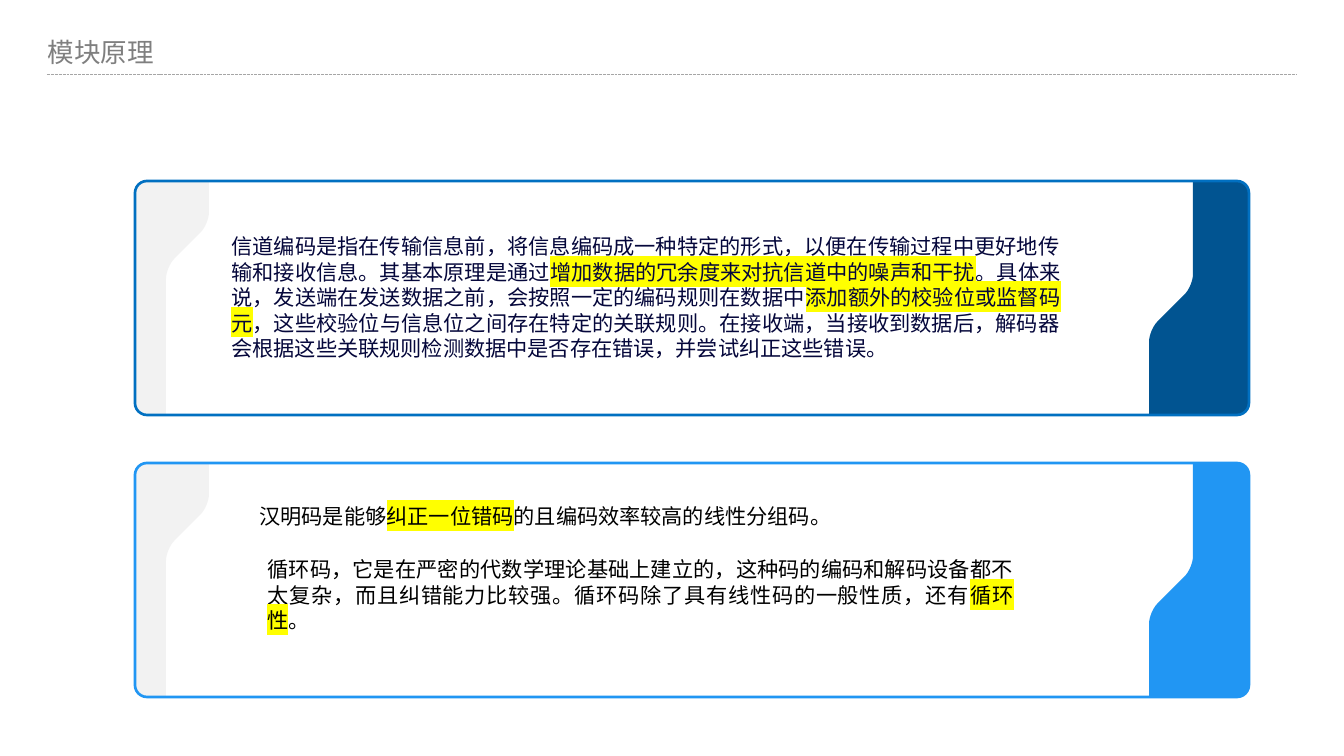
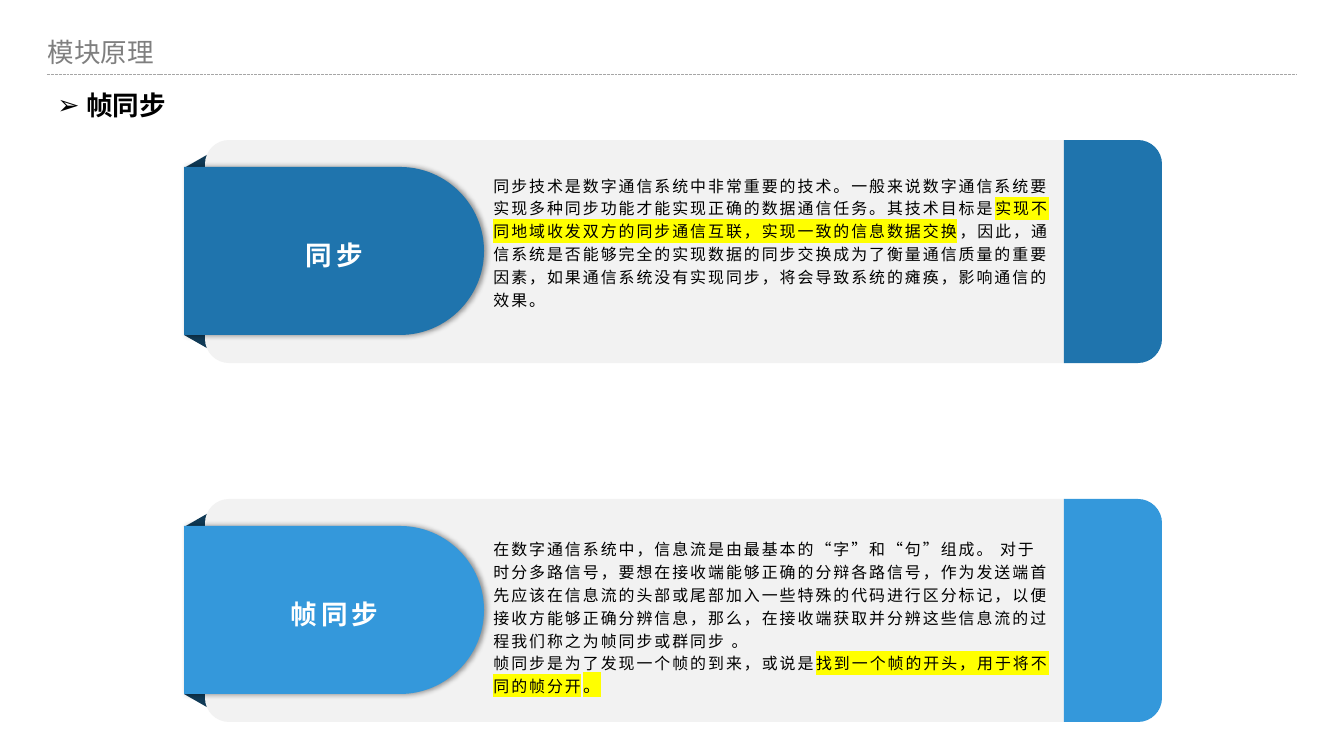
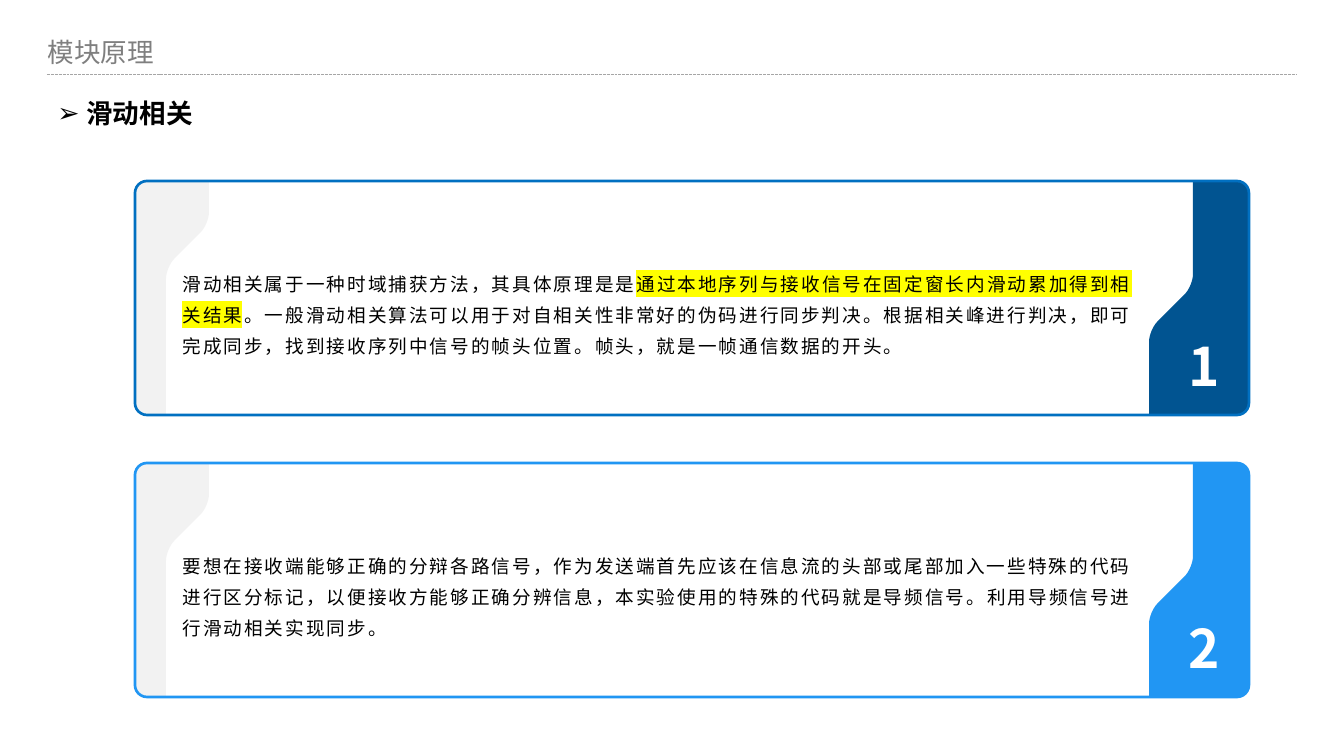
from dataclasses import dataclass, replace
from math import hypot

from lxml.etree import SubElement
from pptx import Presentation
from pptx.dml.color import RGBColor
from pptx.enum.dml import MSO_LINE
from pptx.enum.shapes import MSO_CONNECTOR, MSO_SHAPE
from pptx.enum.text import MSO_ANCHOR, MSO_AUTO_SIZE, PP_ALIGN
from pptx.oxml.ns import qn
from pptx.util import Pt

PX = 9565
CJK_FONT = "Noto Sans CJK SC"
COLORS = {
    "title": "7F7F7F", "rule": "A6A6A6", "text": "000000", "navy_text": "05073B",
    "white": "FFFFFF", "highlight": "FFFF00", "pale": "F2F2F2", "fold": "103A56",
    "deep_band": "015491", "deep_edge": "0170C1", "bright": "2196F3",
    "sync": "1F74AD", "frame_sync": "3498DB",
}
PANEL_LEFT, PANEL_TOPS = 135, (181, 463)
PANEL_WIDTH, PANEL_HEIGHT, PANEL_RADIUS = 1114, 234, 12
PANEL_COLORS = (("deep_band", "deep_edge"), ("bright", "bright"))
CARD_TOPS = (140, 499)


@dataclass(frozen=True)
class TextStyle:
    """Type settings that hold for a whole paragraph, in points."""
    size: float
    leading: float
    color: str = "text"
    font: str = CJK_FONT
    bold: bool = False
    tracking: float = 0
    align: PP_ALIGN = PP_ALIGN.LEFT


TITLE = TextStyle(20, 25, "title")
SUBTITLE = TextStyle(20, 25, bold=True)
THEORY = TextStyle(16, 19.2, align=PP_ALIGN.JUSTIFY)
CODING = replace(THEORY, color="navy_text", font="Roboto")
CARD_BODY = TextStyle(12, 17.2, font="Arial", tracking=1.5)
CARD_LABEL = TextStyle(20, 29, "white", "Arial", True, 3, PP_ALIGN.CENTER)
PANEL_BODY = TextStyle(14, 23.35, tracking=1.5)
NUMBER = TextStyle(40, 51, "white", bold=True, align=PP_ALIGN.CENTER)


def rgb(name):
    """Return a palette colour."""
    return RGBColor.from_string(COLORS[name])


def box(*lengths):
    """Turn px lengths into EMU."""
    return [length * PX for length in lengths]


def style_paragraph(paragraph, style):
    """Apply a text style to a paragraph."""
    paragraph.alignment = style.align
    paragraph.line_spacing = Pt(style.leading)
    font = paragraph.font
    font.name, font.size, font.bold = style.font, Pt(style.size), style.bold
    font.color.rgb = rgb(style.color)
    properties = paragraph._p.get_or_add_pPr()
    properties.set("hangingPunct", "0")
    defaults = properties.find(qn("a:defRPr"))
    defaults.set("spc", str(round(style.tracking * 100)))
    SubElement(defaults, qn("a:ea")).set("typeface", CJK_FONT)


def add_runs(paragraph, text):
    """Write text in which every second part between bars is highlighted."""
    for index, part in enumerate(text.split("|")):
        if not part:
            continue
        run = paragraph.add_run()
        run.text = part
        if index % 2:
            highlight = SubElement(run._r.get_or_add_rPr(), qn("a:highlight"))
            SubElement(highlight, qn("a:srgbClr")).set("val", COLORS["highlight"])


def add_text(slide, bounds, texts, style, anchor=MSO_ANCHOR.TOP):
    """Add a wrapped text box with one paragraph per text and return its frame."""
    frame = slide.shapes.add_textbox(*box(*bounds)).text_frame
    frame.word_wrap = True
    frame.vertical_anchor = anchor
    for index, text in enumerate(texts):
        paragraph = frame.add_paragraph() if index else frame.paragraphs[0]
        add_runs(paragraph, text)
        style_paragraph(paragraph, style)
    return frame


def add_subtitle(slide, top, text):
    """Add a bold heading with an arrow bullet."""
    frame = add_text(slide, (48, top, 650, 42), [], SUBTITLE)
    paragraph = frame.paragraphs[0]
    add_runs(paragraph, text)
    properties = paragraph._p.get_or_add_pPr()
    properties.set("marL", str(29 * PX))
    properties.set("indent", str(-29 * PX))
    SubElement(properties, qn("a:buFont")).set("typeface", "Arial")
    SubElement(properties, qn("a:buChar")).set("char", "➢")
    style_paragraph(paragraph, SUBTITLE)


def add_slide(presentation):
    """Add a slide with the shared title and dashed rule."""
    slide = presentation.slides.add_slide(presentation.slide_layouts[5])
    title = slide.shapes.title
    title.left, title.top, title.width, title.height = box(38, 30, 320, 39)
    frame = title.text_frame
    frame.text = "模块原理"
    frame.auto_size = MSO_AUTO_SIZE.NONE
    frame.vertical_anchor = MSO_ANCHOR.TOP
    style_paragraph(frame.paragraphs[0], TITLE)
    rule = slide.shapes.add_connector(MSO_CONNECTOR.STRAIGHT, *box(47, 74, 1297, 74))
    rule.line.color.rgb = rgb("rule")
    rule.line.width = Pt(0.75)
    rule.line.dash_style = MSO_LINE.SQUARE_DOT
    SubElement(rule._element.spPr, qn("a:effectLst"))
    return slide


def paint(shape, color):
    """Fill a shape without outline or shadow."""
    shape.shadow.inherit = False
    shape.fill.solid()
    shape.fill.fore_color.rgb = rgb(color)
    shape.line.fill.background()


def toward(start, end, distance):
    """Return the point at a distance from start on the way to end."""
    share = distance / hypot(end[0] - start[0], end[1] - start[1])
    return tuple(a + (b - a) * share for a, b in zip(start, end))


def round_corner(before, corner, after, cut):
    """Return the four Bézier points that round a corner."""
    return [toward(corner, side, length) for side, length in
            ((before, cut), (before, cut * 0.45), (after, cut * 0.45), (after, cut))]


def bend(shape, curve_starts):
    """Turn the three segments after each curve start into one Bézier curve."""
    segments = list(shape._element.iter(qn("a:lnTo")))
    for start in curve_starts:
        first, *others = segments[start:start + 3]
        first.tag = qn("a:cubicBezTo")
        for segment in others:
            first.append(segment[0])
            segment.getparent().remove(segment)


def add_outline(shapes, left, top, vertices, color):
    """Add a filled outline from (x, y, corner cut) vertices."""
    corners = [(left + x, top + y) for x, y, _ in vertices]
    points, curve_starts = [], []
    for index, (_, _, cut) in enumerate(vertices):
        if cut:
            curve_starts.append(len(points))
            after = corners[(index + 1) % len(corners)]
            points += round_corner(corners[index - 1], corners[index], after, cut)
        else:
            points.append(corners[index])
    points = [(x * PX, y * PX) for x, y in points]
    builder = shapes.build_freeform(*points[0])
    builder.add_line_segments(points[1:], close=True)
    shape = builder.convert_to_shape()
    bend(shape, curve_starts)
    paint(shape, color)
    return shape


def add_panel(slide, top, band_color, edge_color):
    """Add an outlined panel with a pale left tab and a coloured right band."""
    shapes = slide.shapes.add_group_shape().shapes
    right, bottom, cut = PANEL_WIDTH, PANEL_HEIGHT, PANEL_RADIUS
    band = [(right, 0, cut), (right, bottom, cut), (right - 100, bottom, 0),
            (right - 100, 149, cut), (right - 56, 105, cut), (right - 56, 0, 0)]
    tab = [(0, 0, cut), (74, 0, 0), (74, 43, cut), (31, 86, cut), (31, bottom, 0),
           (0, bottom, cut)]
    add_outline(shapes, PANEL_LEFT, top, band, band_color)
    add_outline(shapes, PANEL_LEFT, top, tab, "pale")
    frame = shapes.add_shape(MSO_SHAPE.ROUNDED_RECTANGLE, *box(PANEL_LEFT, top, right, bottom))
    frame.adjustments[0] = cut / bottom
    frame.shadow.inherit = False
    frame.fill.background()
    frame.line.color.rgb = rgb(edge_color)
    frame.line.width = Pt(2)


def add_panels(slide):
    """Add the two stacked panels."""
    for top, colors in zip(PANEL_TOPS, PANEL_COLORS):
        add_panel(slide, top, *colors)


def add_soft_shadow(shape):
    """Give a shape a soft shadow to its right."""
    effects = shape._element.spPr.find(qn("a:effectLst"))
    shadow = SubElement(effects, qn("a:outerShdw"), blurRad=str(Pt(4)), dist=str(Pt(2)), dir="0")
    color = SubElement(shadow, qn("a:srgbClr"), val=COLORS["text"])
    SubElement(color, qn("a:alpha"), val="40000")


def add_card(slide, top, label, color):
    """Add a ribbon card with a label tongue and a coloured end."""
    shapes = slide.shapes
    for left, offset, width, height, rotation in ((184, 195, 42, 24, 180), (193, -5, 24, 42, 270)):
        fold = shapes.add_shape(MSO_SHAPE.RIGHT_TRIANGLE, *box(left, top + offset, width, height))
        fold.rotation = rotation
        paint(fold, "fold")
    add_outline(shapes, 205, top, [(0, 0, 24), (859, 0, 0), (859, 223, 0), (0, 223, 24)], "pale")
    tongue = add_outline(shapes, 184, top + 27,
                         [(0, 0, 0), (300, 0, 84), (300, 168, 84), (0, 168, 0)], color)
    add_soft_shadow(tongue)
    add_outline(shapes, 1064, top, [(0, 0, 0), (98, 0, 24), (98, 223, 24), (0, 223, 0)], color)
    add_text(slide, (246, top + 74, 177, 75), [label], CARD_LABEL, MSO_ANCHOR.MIDDLE)


def build_coding_slide(presentation):
    """Build the slide on channel coding."""
    slide = add_slide(presentation)
    add_panels(slide)
    add_text(slide, (222, 229, 848, 139), [
        "信道编码是指在传输信息前，将信息编码成一种特定的形式，以便在传输过程中更好地传输和接收信息。"
        "其基本原理是通过|增加数据的冗余度来对抗信道中的噪声和干扰|。具体来说，发送端在发送数据之前，"
        "会按照一定的编码规则在数据中|添加额外的校验位或监督码元|，这些校验位与信息位之间存在特定的关联规则。"
        "在接收端，当接收到数据后，解码器会根据这些关联规则检测数据中是否存在错误，并尝试纠正这些错误。"],
        CODING)
    hamming = add_text(slide, (250, 499, 627, 35), [
        "汉明码是能够|纠正一位错码|的且编码效率较高的线性分组码||。"], THEORY)
    hamming.paragraphs[0].runs[-1].font.name = "Times New Roman"
    add_text(slide, (258, 552, 765, 86), [
        "循环码，它是在严密的代数学理论基础上建立的，这种码的编码和解码设备都不太复杂，"
        "而且纠错能力比较强。循环码除了具有线性码的一般性质，还有|循环性|。"], THEORY)


def build_frame_sync_slide(presentation):
    """Build the slide on frame synchronisation."""
    slide = add_slide(presentation)
    add_subtitle(slide, 83, "帧同步")
    for top, label, color in zip(CARD_TOPS, ("同步", "帧同步"), ("sync", "frame_sync")):
        add_card(slide, top, label, color)
    add_text(slide, (484, CARD_TOPS[0], 580, 202), [
        "同步技术是数字通信系统中非常重要的技术。一般来说数字通信系统要实现多种同步功能才能实现正确的数据通信任务。"
        "其技术目标是|实现不同地域收发双方的同步通信互联，实现一致的信息数据交换|，因此，"
        "通信系统是否能够完全的实现数据的同步交换成为了衡量通信质量的重要因素，"
        "如果通信系统没有实现同步，将会导致系统的瘫痪，影响通信的效果。"],
        CARD_BODY, MSO_ANCHOR.MIDDLE)
    frame_text = add_text(slide, (484, CARD_TOPS[1] + 13, 580, 208), [
        "在数字通信系统中，信息流是由最基本的“字”和“句”组成。 对于时分多路信号，"
        "要想在接收端能够正确的分辩各路信号，作为发送端首先应该在信息流的头部或尾部加入一些特殊的代码进行区分标记，"
        "以便接收方能够正确分辨信息，那么，在接收端获取并分辨这些信息流的过程我们称之为帧同步或群同步 。",
        "帧同步是为了发现一个帧的到来，或说是|找到一个帧的开头，用于将不同的帧分开||。|"],
        CARD_BODY, MSO_ANCHOR.MIDDLE)
    frame_text.paragraphs[1].runs[-1].font.size = Pt(13.3)


def build_correlation_slide(presentation):
    """Build the slide on sliding correlation."""
    slide = add_slide(presentation)
    add_subtitle(slide, 91, "滑动相关")
    add_panels(slide)
    steps = (
        ("滑动相关属于一种时域捕获方法，其具体原理是是|通过本地序列与接收信号在固定窗长内滑动累加得到相关结果|。"
         "一般滑动相关算法可以用于对自相关性非常好的伪码进行同步判决。根据相关峰进行判决，即可完成同步，"
         "找到接收序列中信号的帧头位置。帧头，就是一帧通信数据的开头。", CJK_FONT),
        ("要想在接收端能够正确的分辩各路信号，作为发送端首先应该在信息流的头部或尾部加入一些特殊的代码进行区分标记，"
         "以便接收方能够正确分辨信息，本实验使用的特殊的代码就是导频信号。利用导频信号进行滑动相关实现同步。", "Arial"),
    )
    for number, (top, (text, font)) in enumerate(zip(PANEL_TOPS, steps), 1):
        frame = add_text(slide, (173, top + 83, 977, 129), [text], replace(PANEL_BODY, font=font))
        frame.margin_top = 0
        add_text(slide, (1158, top + 144, 92, 86), [str(number)], NUMBER)


def main():
    """Build and save the presentation."""
    presentation = Presentation()
    presentation.slide_width, presentation.slide_height = box(1344, 756)
    build_coding_slide(presentation)
    build_frame_sync_slide(presentation)
    build_correlation_slide(presentation)
    presentation.save("out.pptx")


if __name__ == "__main__":
    main()
